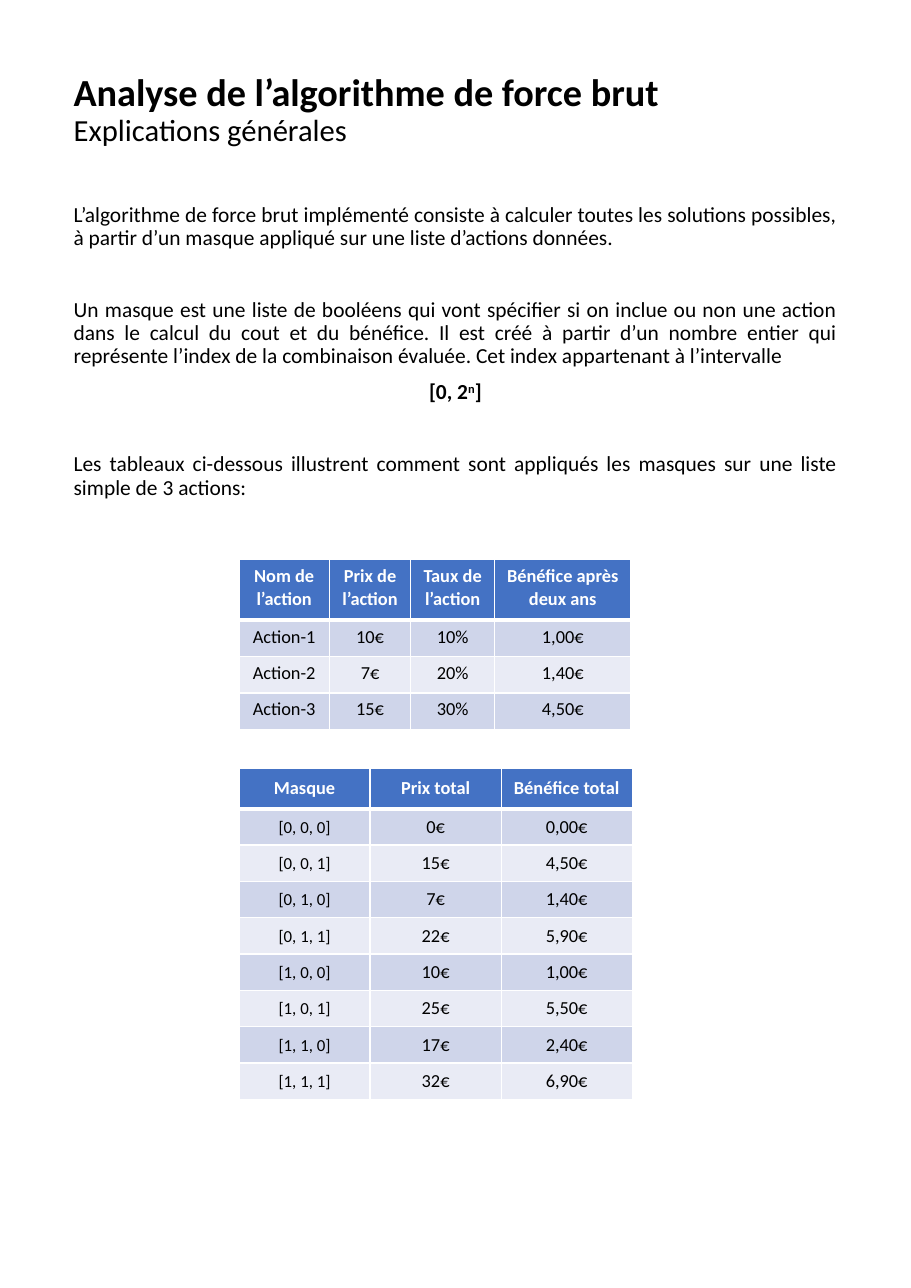
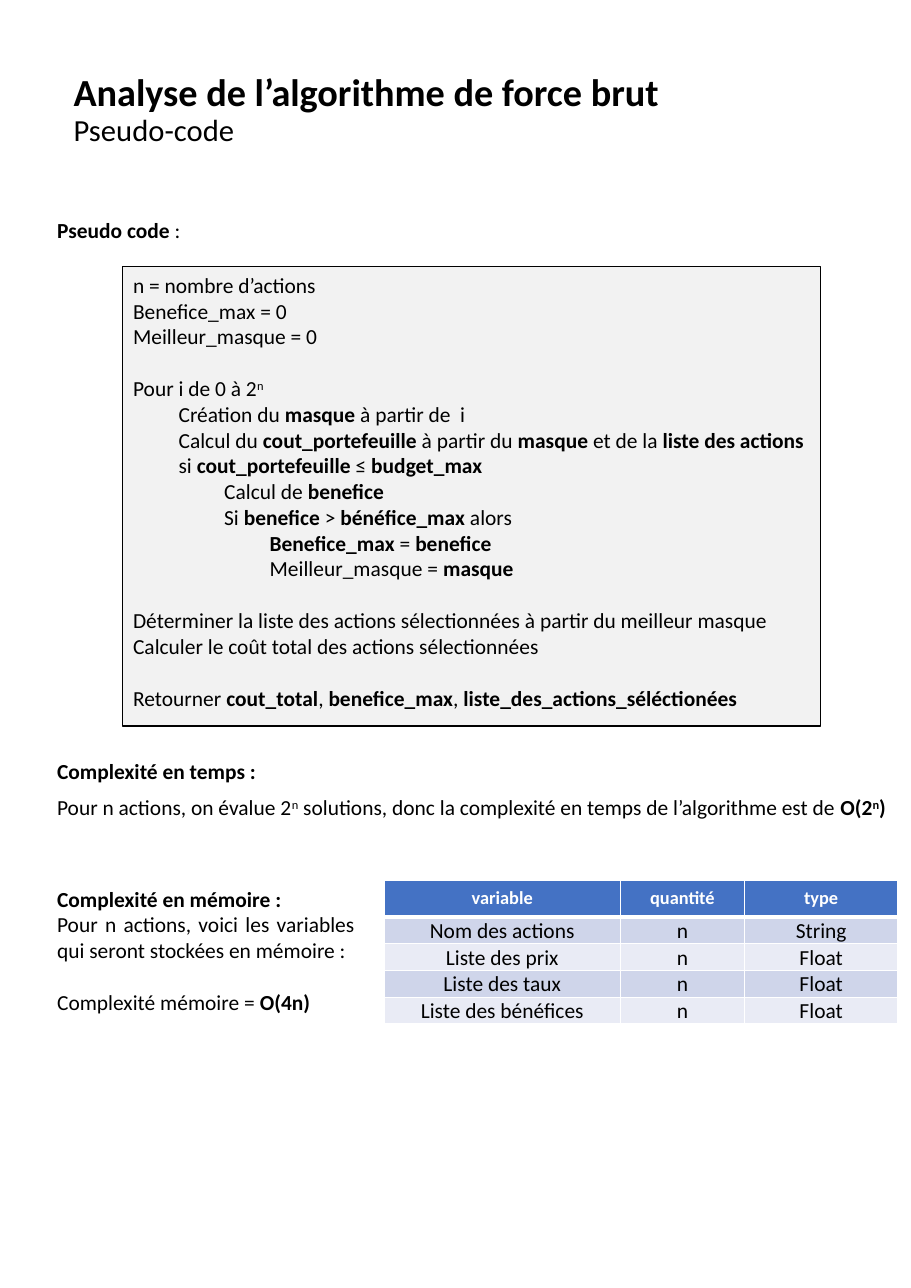
from dataclasses import dataclass
from lxml import etree
from pptx import Presentation
from pptx import util as u
from pptx.dml.color import RGBColor
from pptx.enum import shapes, text
from pptx.oxml.ns import qn


@dataclass(frozen=True)
class Theme:
    font: str = "Calibri"
    ink: str = "000000"
    paper: str = "FFFFFF"
    header: str = "4472C4"
    bands: tuple = ("CFD5EA", "E9EBF5")
    code: str = "F2F2F2"
    title: float = 25
    subtitle: float = 20
    body: float = 14
    cell: float = 12
    mask: float = 11
    blank: float = 17.1   # one empty body line
    gap: float = 8.3      # between body paragraphs


T = Theme()
W, H = 8.27, 11.69
TITLE_BOX = (0.57, 0.62, 7.13, 0.86)
LEFT = 0.42
TABLE_LEFT, TABLE_W = 2.17, 3.57
ROW = 0.33
ALIGN = text.PP_ALIGN
WIDE = T.gap * 2 + T.body * 1.1   # paragraph gap plus an empty line

# Content: ** toggles bold, ^ toggles superscript
TITLE = "Analyse de l’algorithme de force brut"
INTRO = [  # text, alignment, space before
    ("L’algorithme de force brut implémenté consiste à calculer toutes les solutions "
     "possibles, à partir d’un masque appliqué sur une liste d’actions données.",
     ALIGN.JUSTIFY, T.gap),
    ("Un masque est une liste de booléens qui vont spécifier si on inclue ou non une "
     "action dans le calcul du cout et du bénéfice. Il est créé à partir d’un nombre "
     "entier qui représente l’index de la combinaison évaluée. Cet index appartenant "
     "à l’intervalle ", ALIGN.JUSTIFY, WIDE),
    ("**[0, 2^n^]**", ALIGN.CENTER, T.gap),
    ("Les tableaux ci-dessous illustrent comment sont appliqués les masques sur une "
     "liste simple de 3 actions:", ALIGN.JUSTIFY, WIDE),
]
ACTIONS = [
    ("Nom de l’action", "Prix de l’action", "Taux de l’action", "Bénéfice après deux ans"),
    ("Action-1", "10€", "10%", "1,00€"),
    ("Action-2", "7€", "20%", "1,40€"),
    ("Action-3", "15€", "30%", "4,50€"),
]
MASKS = [
    ("Masque", "Prix total", "Bénéfice total"),
    ("[0, 0, 0]", "0€", "0,00€"),
    ("[0, 0, 1]", "15€", "4,50€"),
    ("[0, 1, 0]", "7€", "1,40€"),
    ("[0, 1, 1]", "22€", "5,90€"),
    ("[1, 0, 0]", "10€", "1,00€"),
    ("[1, 0, 1]", "25€", "5,50€"),
    ("[1, 1, 0]", "17€", "2,40€"),
    ("[1, 1, 1]", "32€", "6,90€"),
]
CODE = [  # indent level, line, blank line above
    (0, "n = nombre d’actions", False),
    (0, "Benefice_max = 0", False),
    (0, "Meilleur_masque = 0", False),
    (0, "Pour i de 0 à 2^n^", True),
    (1, "Création du **masque** à partir de  i", False),
    (1, "Calcul du **cout_portefeuille** à partir du **masque **et de la "
        "**liste des actions**", False),
    (1, "si **cout_portefeuille** ≤ **budget_max**", False),
    (2, "Calcul de **benefice**", False),
    (2, "Si **benefice **> **bénéfice_max** alors", False),
    (3, "**Benefice_max** = **benefice**", False),
    (3, "Meilleur_masque = **masque**", False),
    (0, "Déterminer la liste des actions sélectionnées à partir du meilleur masque", True),
    (0, "Calculer le coût total des actions sélectionnées", False),
    (0, "Retourner **cout_total**, **benefice_max**, **liste_des_actions_séléctionées**", True),
]
TIME = [
    "**Complexité en temps :**",
    "Pour n actions, on évalue 2^n^ solutions, donc la complexité en temps de "
    "l’algorithme est de **O(2^n^)**",
]
MEMORY = [
    ("**Complexité en mémoire :**", 0),
    ("Pour n actions, voici les variables qui seront stockées en mémoire :", 0),
    ("Complexité mémoire = **O(4n)**", T.blank),
]
VARIABLES = [
    ("variable", "quantité", "type"),
    ("Nom des actions", "n", "String"),
    ("Liste des prix", "n", "Float"),
    ("Liste des taux", "n", "Float"),
    ("Liste des bénéfices", "n", "Float"),
]


def rgb(value):
    return RGBColor.from_string(value)


def inches(values):
    return [u.Inches(v) for v in values]


def write(tf, content, first=False, size=T.body, color=T.ink, align=ALIGN.LEFT,
          before=0, spacing=None, level=0):
    """Add one paragraph with bold and superscript markup."""
    p = tf.paragraphs[0] if first else tf.add_paragraph()
    p.alignment, p.space_before = align, u.Pt(before)
    if spacing:
        p.line_spacing = spacing
    if level:
        p.level = level
        p._p.get_or_add_pPr().set("marL", str(u.Inches(0.4133 * level)))
    for i, part in enumerate(content.split("**")):
        for j, piece in enumerate(part.split("^")):
            if piece:
                r = p.add_run()
                r.text = piece
                f = r.font
                f.name, f.size, f.bold = T.font, u.Pt(size), i % 2 == 1
                f.color.rgb = rgb(color)
                if j % 2:
                    r._r.get_or_add_rPr().set("baseline", "30000")


def text_box(s, box):
    tf = s.shapes.add_textbox(*inches(box)).text_frame
    tf.word_wrap = True
    return tf


def titled_slide(prs, subtitle):
    s = prs.slides.add_slide(prs.slide_layouts[6])
    tf = text_box(s, TITLE_BOX)
    write(tf, f"**{TITLE}**", first=True, size=T.title, spacing=0.9)
    write(tf, subtitle, size=T.subtitle, spacing=0.9)
    return s


def borders(cell, top, bottom):
    tc_pr = cell._tc.get_or_add_tcPr()
    for side, width in (("L", 1), ("R", 1), ("T", top), ("B", bottom)):
        ln = etree.SubElement(tc_pr, qn(f"a:ln{side}"), w=str(u.Pt(width)))
        fill = etree.SubElement(ln, qn("a:solidFill"))
        etree.SubElement(fill, qn("a:srgbClr"), val=T.paper)


def table(s, rows, left, top, cols, head, row_h, sizes, tight=(),
          anchor=text.MSO_ANCHOR.MIDDLE):
    """Banded table; tight columns have almost no cell margins below the header."""
    heights = [head] + [row_h] * (len(rows) - 1)
    frame = s.shapes.add_table(len(rows), len(cols),
                               *inches((left, top, sum(cols), sum(heights))))
    grid = frame.table
    for col, width in zip(grid.columns, cols):
        col.width = u.Inches(width)
    for i, (row, height) in enumerate(zip(rows, heights)):
        grid.rows[i].height = u.Inches(height)
        for j, value in enumerate(row):
            cell = grid.cell(i, j)
            borders(cell, 3 if i == 1 else 1, 3 if i == 0 else 1)
            cell.fill.solid()
            cell.fill.fore_color.rgb = rgb(T.bands[(i - 1) % 2] if i else T.header)
            cell.vertical_anchor = anchor
            if i and j in tight:
                cell.margin_left = cell.margin_right = cell.margin_top = u.Inches(0.01)
                cell.margin_bottom = 0
            write(cell.text_frame, value if i else f"**{value}**", first=True,
                  size=sizes[j] if i else T.cell,
                  color=T.ink if i else T.paper, align=ALIGN.CENTER)


def explanation_slide(prs):
    s = titled_slide(prs, "Explications générales")
    tf = text_box(s, (0.57, 1.8, 7.13, 2.93))
    for i, (line, align, before) in enumerate(INTRO):
        write(tf, line, first=i == 0, align=align, before=before, spacing=0.9)
    table(s, MASKS, TABLE_LEFT, 6.97, [TABLE_W / 3] * 3, 0.37, ROW,
          (T.mask, T.cell, T.cell), tight=(0,))
    table(s, ACTIONS, TABLE_LEFT, 5.08, (0.82, 0.74, 0.76, 1.24), 0.55, ROW,
          (T.cell,) * 4, anchor=text.MSO_ANCHOR.TOP)


def pseudo_code_slide(prs):
    s = titled_slide(prs, "Pseudo-code")
    write(text_box(s, (LEFT, 1.92, 7.6, 0.34)), "**Pseudo code** :", first=True)

    # Code panel
    sp = s.shapes.add_shape(shapes.MSO_SHAPE.RECTANGLE, *inches((1.11, 2.42, 6.34, 4.17)))
    sp.shadow.inherit = False
    sp.fill.solid()
    sp.fill.fore_color.rgb = rgb(T.code)
    sp.line.color.rgb = rgb(T.ink)
    sp.line.width = u.Pt(0.75)
    tf = sp.text_frame
    tf.word_wrap = True
    tf.vertical_anchor = text.MSO_ANCHOR.TOP
    for i, (level, line, blank) in enumerate(CODE):
        write(tf, line, first=i == 0, level=level, before=T.blank if blank else 0)

    # Time and memory complexity
    tf = text_box(s, (LEFT, 6.86, 7.74, 0.86))
    for i, line in enumerate(TIME):
        write(tf, line, first=i == 0, before=T.gap, spacing=0.9)
    tf = text_box(s, (LEFT, 7.99, 2.9, 1.28))
    for i, (line, before) in enumerate(MEMORY):
        write(tf, line, first=i == 0, align=ALIGN.JUSTIFY, before=before)
    table(s, VARIABLES, 3.49, 7.99, (2.14, 1.13, 1.39), ROW, 0.24,
          (T.body,) * 3, tight=(0, 1, 2))


def main():
    prs = Presentation()
    prs.slide_width, prs.slide_height = inches((W, H))
    explanation_slide(prs)
    pseudo_code_slide(prs)
    prs.save("out.pptx")


if __name__ == "__main__":
    main()
